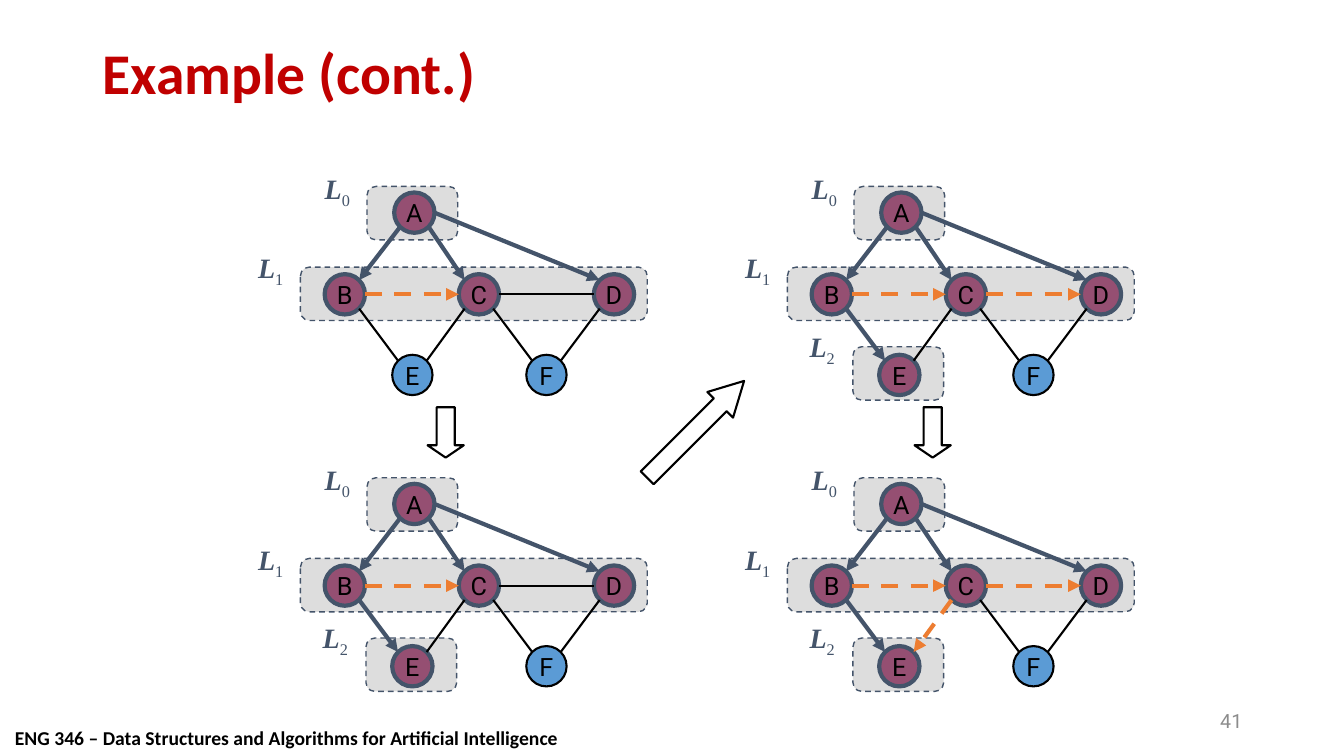
from lxml import etree
from pptx import Presentation
from pptx.dml.color import RGBColor
from pptx.enum.dml import MSO_LINE_DASH_STYLE as DASH
from pptx.enum.shapes import MSO_CONNECTOR, MSO_SHAPE as SHAPE
from pptx.enum.text import MSO_ANCHOR as ANCHOR, MSO_AUTO_SIZE as AUTO, PP_ALIGN as ALIGN
from pptx.oxml.ns import qn
from pptx.util import Pt

PX = 9144  # 100 px to the inch
COLORS = {
    "title": "C00000", "text": "000000", "number": "8C8C8C",
    "layer": "DDDDDD", "tree": "44546A", "cross": "ED7D31",
    "plain": "000000", "visited": "954F72", "unvisited": "5B9BD5",
}
NODE = 40
NODES = {"A": (148, 26), "B": (79, 107), "C": (212, 107),
         "D": (346, 107), "E": (146, 187), "F": (279, 187)}
# Each level: label position, then the band's box
LEVELS = [((66, 0), (121, 20, 90, 53)),
          ((0, 79), (55, 100, 344, 53)),
          ((64, 157), (120, 179, 90, 53))]
# Each edge: the side of the first node it leaves, the side of the second it meets
EDGES = {"AB": ("SW", "NE"), "AC": ("SE", "NW"), "AD": ("E", "NW"),
         "BC": ("E", "W"), "CD": ("E", "W"), "BE": ("SE", "NW"),
         "CE": ("SW", "NE"), "CF": ("SE", "NW"), "DF": ("SW", "NE")}
SIDES = {"E": (1, 0), "W": (-1, 0), "NE": (0.71, -0.71), "NW": (-0.71, -0.71),
         "SE": (0.71, 0.71), "SW": (-0.71, 0.71)}
# Each stage: column, row, tree edges, cross edges
STAGES = [
    (0, 0, ["AB", "AC", "AD"], ["BC"]),
    (0, 1, ["AB", "AC", "AD", "BE"], ["BC"]),
    (1, 0, ["AB", "AC", "AD", "BE"], ["BC", "CD"]),
    (1, 1, ["AB", "AC", "AD", "BE"], ["BC", "CD", "CE"]),
]
STAGE_X, STAGE_Y, STAGE_DX, STAGE_DY = 243, 165, 483, 289


def rgb(name):
    return RGBColor.from_string(COLORS[name])


def emu(*lengths):
    return [round(n * PX) for n in lengths]


def style_run(r, font, size, color, bold=False, italic=False):
    f = r.font
    f.name, f.size, f.bold, f.italic = font, Pt(size), bold, italic
    f.color.rgb = rgb(color)


def add_shape(shapes, kind, box, fill, line, width):
    sp = shapes.add_shape(kind, *emu(*box))
    sp.shadow.inherit = False
    if fill:
        sp.fill.solid()
        sp.fill.fore_color.rgb = rgb(fill)
    else:
        sp.fill.background()
    sp.line.color.rgb = rgb(line)
    sp.line.width = Pt(width)
    return sp


def add_text(shapes, box, text, align=ALIGN.LEFT, anchor=ANCHOR.TOP, wrap=True):
    tf = shapes.add_textbox(*emu(*box)).text_frame
    tf.word_wrap, tf.vertical_anchor = wrap, anchor
    p = tf.paragraphs[0]
    p.text, p.alignment = text, align
    return p


def add_level(shapes, x, y, number):
    (label_x, label_y), (left, top, w, h) = LEVELS[number]
    band = add_shape(shapes, SHAPE.ROUNDED_RECTANGLE, (x + left, y + top, w, h),
                     "layer", "tree", 1)
    band.line.dash_style = DASH.DASH
    p = add_text(shapes, (x + label_x, y + label_y, 51, 48), "L", ALIGN.CENTER)
    style_run(p.runs[0], "Times New Roman", 20, "tree", bold=True, italic=True)
    r = p.add_run()
    r.text = str(number)
    style_run(r, "Times New Roman", 20, "tree")
    r.font._element.set("baseline", "-25000")


def add_node(shapes, x, y, name, visited):
    left, top = NODES[name]
    fill, line, width = ("visited", "tree", 3) if visited else ("unvisited", "plain", 1.5)
    sp = add_shape(shapes, SHAPE.OVAL, (x + left, y + top, NODE, NODE), fill, line, width)
    tf = sp.text_frame
    tf.word_wrap, tf.vertical_anchor = False, ANCHOR.MIDDLE
    p = tf.paragraphs[0]
    p.text, p.alignment = name, ALIGN.CENTER
    style_run(p.runs[0], "Roboto", 18, "text")


def add_edge(shapes, x, y, edge, kind):
    ends = []
    for name, side in zip(edge, EDGES[edge]):
        (left, top), (dx, dy) = NODES[name], SIDES[side]
        ends += [x + left + NODE / 2 * (1 + dx), y + top + NODE / 2 * (1 + dy)]
    cn = shapes.add_connector(MSO_CONNECTOR.STRAIGHT, *emu(*ends))
    cn.line.color.rgb = rgb(kind)
    cn.line.width = Pt(1.5 if kind == "plain" else 3)
    if kind == "cross":
        cn.line.dash_style = DASH.DASH
    if kind != "plain":
        etree.SubElement(cn.line._get_or_add_ln(), qn("a:tailEnd"), type="triangle")
    etree.SubElement(cn._element.spPr, qn("a:effectLst"))


def add_stage(slide, x, y, tree, cross):
    """Draw one step of the breadth-first search with its top left at x, y."""
    shapes = slide.shapes.add_group_shape().shapes
    reached = {"A"} | {edge[1] for edge in tree}
    for number in range(3 if "E" in reached else 2):
        add_level(shapes, x, y, number)
    for name in NODES:
        add_node(shapes, x, y, name, name in reached)
    for edge in EDGES:
        kind = "tree" if edge in tree else "cross" if edge in cross else "plain"
        add_edge(shapes, x, y, edge, kind)


def add_step_arrow(slide, box, rotation, head):
    sp = add_shape(slide.shapes, SHAPE.RIGHT_ARROW, box, None, "plain", 1.5)
    sp.rotation = rotation
    sp.adjustments[1] = head


def add_title(slide, box, text):
    sp = slide.shapes.title
    sp.left, sp.top, sp.width, sp.height = emu(*box)
    tf = sp.text_frame
    tf.text = text
    tf.auto_size, tf.vertical_anchor = AUTO.NONE, ANCHOR.MIDDLE
    p = tf.paragraphs[0]
    p.alignment, p.line_spacing = ALIGN.LEFT, 0.9
    style_run(p.runs[0], "Calibri", 41.1, "title", bold=True)


def add_footer(slide):
    p = add_text(slide.shapes, (5, 715, 563, 33),
                 "ENG 346 – Data Structures and Algorithms for Artificial Intelligence",
                 wrap=False)
    style_run(p.runs[0], "Calibri", 14, "text", bold=True)
    p = add_text(slide.shapes, (942, 695, 300, 40), "41", ALIGN.RIGHT, ANCHOR.MIDDLE)
    style_run(p.runs[0], "Roboto", 14, "number")


def main():
    prs = Presentation()
    prs.slide_width, prs.slide_height = emu(1333, 750)
    slide = prs.slides.add_slide(prs.slide_layouts[5])
    add_title(slide, (92, 40, 1150, 70), "Example (cont.)")
    add_footer(slide)
    for column in range(2):
        add_step_arrow(slide, (417 + column * STAGE_DX, 411, 50, 36), 90, 0.34)
    add_step_arrow(slide, (622, 408, 136, 36), 315, 0.93)
    for column, row, tree, cross in STAGES:
        add_stage(slide, STAGE_X + column * STAGE_DX, STAGE_Y + row * STAGE_DY, tree, cross)
    prs.save("out.pptx")


if __name__ == "__main__":
    main()
